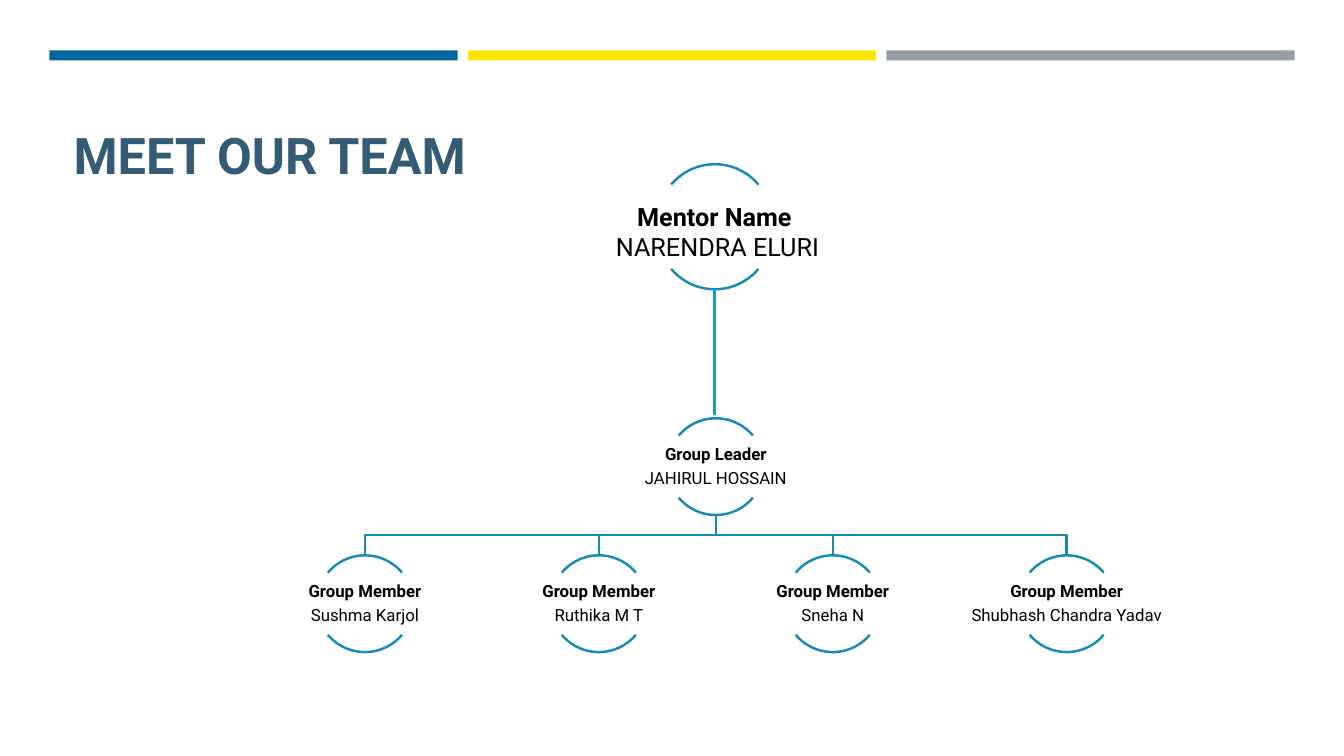
from dataclasses import dataclass

from lxml import etree
from pptx import Presentation, util as u
from pptx.dml.color import RGBColor
from pptx.enum import shapes, text
from pptx.oxml.ns import qn

WIDE, HIGH = 13.33, 7.5
MID, COL = 7.1, 2.32
TOP, ROW = 4.15, 1.36
DISC = 0.96
TEAL, SKY, NAVY, BLACK = "168BB7", "189CCE", "335B74", "000000"
FONT = "Roboto"


@dataclass(frozen=True)
class Bar:
    """A coloured band in one column of the header."""
    col: int
    fill: str


@dataclass(frozen=True)
class Node:
    """A team member at a column and row of the chart."""
    role: str
    name: str
    col: float
    row: float

    @property
    def x(self) -> float:
        """Return the centre of the node."""
        return MID + COL * self.col

    @property
    def y(self) -> float:
        """Return the top of the node."""
        return TOP + ROW * self.row


BARS = [Bar(0, "0066A1"), Bar(2, "969FA7"), Bar(1, "FFE600")]
LEAD = Node("Group Leader", "JAHIRUL HOSSAIN", 0, 0)
TEAM = [
    Node("Group Member", name, i - 1.5, 1)
    for i, name in enumerate(
        ["Sushma Karjol", "Ruthika M T", "Sneha N", "Shubhash Chandra Yadav"])
]


def hue(code: str) -> RGBColor:
    """Turn a hex string into a colour."""
    return RGBColor.from_string(code)


def box(x: float, y: float, w: float, h: float) -> tuple:
    """Turn a box in inches into lengths."""
    return tuple(u.Inches(n) for n in (x, y, w, h))


def write(frame, lines: list[tuple[str, bool]], *, size: float, color: str = BLACK,
          align=text.PP_ALIGN.CENTER, anchor=text.MSO_ANCHOR.TOP,
          pad: float | None = None, lead: float | None = None,
          after: float = 0) -> None:
    """Fill a text frame with lines, each bold or plain."""
    frame.word_wrap = True
    frame.vertical_anchor = anchor
    if pad is not None:
        frame.margin_left = frame.margin_right = u.Inches(pad)
        frame.margin_top = frame.margin_bottom = u.Inches(pad)
    for i, (words, bold) in enumerate(lines):
        para = frame.add_paragraph() if i else frame.paragraphs[0]
        para.alignment = align
        para.line_spacing = lead
        para.space_after = u.Pt(after)
        run = para.add_run()
        run.text = words
        font = run.font
        font.name, font.size, font.bold = FONT, u.Pt(size), bold
        font.color.rgb = hue(color)


def trace(shape, color: str = TEAL, width: float = 1.75) -> None:
    """Give a shape a plain outline."""
    shape.shadow.inherit = False
    shape.fill.background()
    shape.line.color.rgb = hue(color)
    shape.line.width = u.Pt(width)


def arc(tree, x: float, y: float, size: float, start: float) -> None:
    """Draw an arc of 100 degrees in a square centred on x."""
    shape = tree.add_shape(shapes.MSO_SHAPE.ARC, *box(x - size / 2, y, size, size))
    shape.adjustments[0] = start
    shape.adjustments[1] = start + 60
    trace(shape)


def ring(tree, x: float, y: float, size: float, drop: float = 0) -> None:
    """Draw the upper and lower arcs of a node."""
    arc(tree, x, y, size, 132)
    arc(tree, x, y + drop, size, 24)


def link(tree, start: Node, end: Node) -> None:
    """Draw an elbow from one node down to another."""
    foot = start.y + DISC
    bend = (foot + end.y) / 2
    route = [(u.Inches(x), u.Inches(y)) for x, y in
             [(start.x, foot), (start.x, bend), (end.x, bend), (end.x, end.y)]]
    path = tree.build_freeform(*route[0])
    path.add_line_segments(route[1:], close=False)
    trace(path.convert_to_shape())


def person(tree, node: Node) -> None:
    """Draw a node with its role and name."""
    ring(tree, node.x, node.y, DISC)
    label = tree.add_textbox(*box(node.x - DISC, node.y + 0.18, 2 * DISC, 0.61))
    write(label.text_frame, [(node.role, True), (node.name, False)], size=12,
          anchor=text.MSO_ANCHOR.MIDDLE, pad=0.01, lead=0.9, after=4.2)


def mentor(tree) -> None:
    """Draw the mentor and the line down to the leader."""
    ring(tree, MID - 0.01, 1.63, 1.13, 0.11)
    label = tree.add_textbox(*box(5.78, 1.95, 2.61, 0.71))
    write(label.text_frame, [("Mentor Name", True), (" NARENDRA ELURI", False)], size=18)
    x = u.Inches(MID - 0.01)
    stem = tree.add_connector(shapes.MSO_CONNECTOR.STRAIGHT,
                              x, u.Inches(2.87), x, u.Inches(4.12))
    stem.line.color.rgb = hue(SKY)
    stem.line.width = u.Pt(2.25)
    etree.SubElement(stem._element.spPr, qn("a:effectLst"))


def main() -> None:
    """Build the team slide."""
    deck = Presentation()
    deck.slide_width, deck.slide_height = u.Inches(WIDE), u.Inches(HIGH)
    slide = deck.slides.add_slide(deck.slide_layouts[5])
    tree = slide.shapes
    for bar in BARS:
        band = tree.add_shape(shapes.MSO_SHAPE.RECTANGLE,
                              *box(0.49 + 4.15 * bar.col, 0.5, 4.05, 0.1))
        band.shadow.inherit = False
        band.fill.solid()
        band.fill.fore_color.rgb = hue(bar.fill)
        band.line.fill.background()
    title = tree.title
    title.left, title.top, title.width, title.height = box(0.63, 0.82, 11.79, 1.06)
    write(title.text_frame, [("MEET OUR TEAM", True)], size=36, color=NAVY,
          align=text.PP_ALIGN.LEFT, anchor=text.MSO_ANCHOR.BOTTOM)
    for node in reversed(TEAM):
        link(tree, LEAD, node)
    for node in [LEAD, *TEAM]:
        person(tree, node)
    mentor(tree)
    deck.save("out.pptx")


if __name__ == "__main__":
    main()
